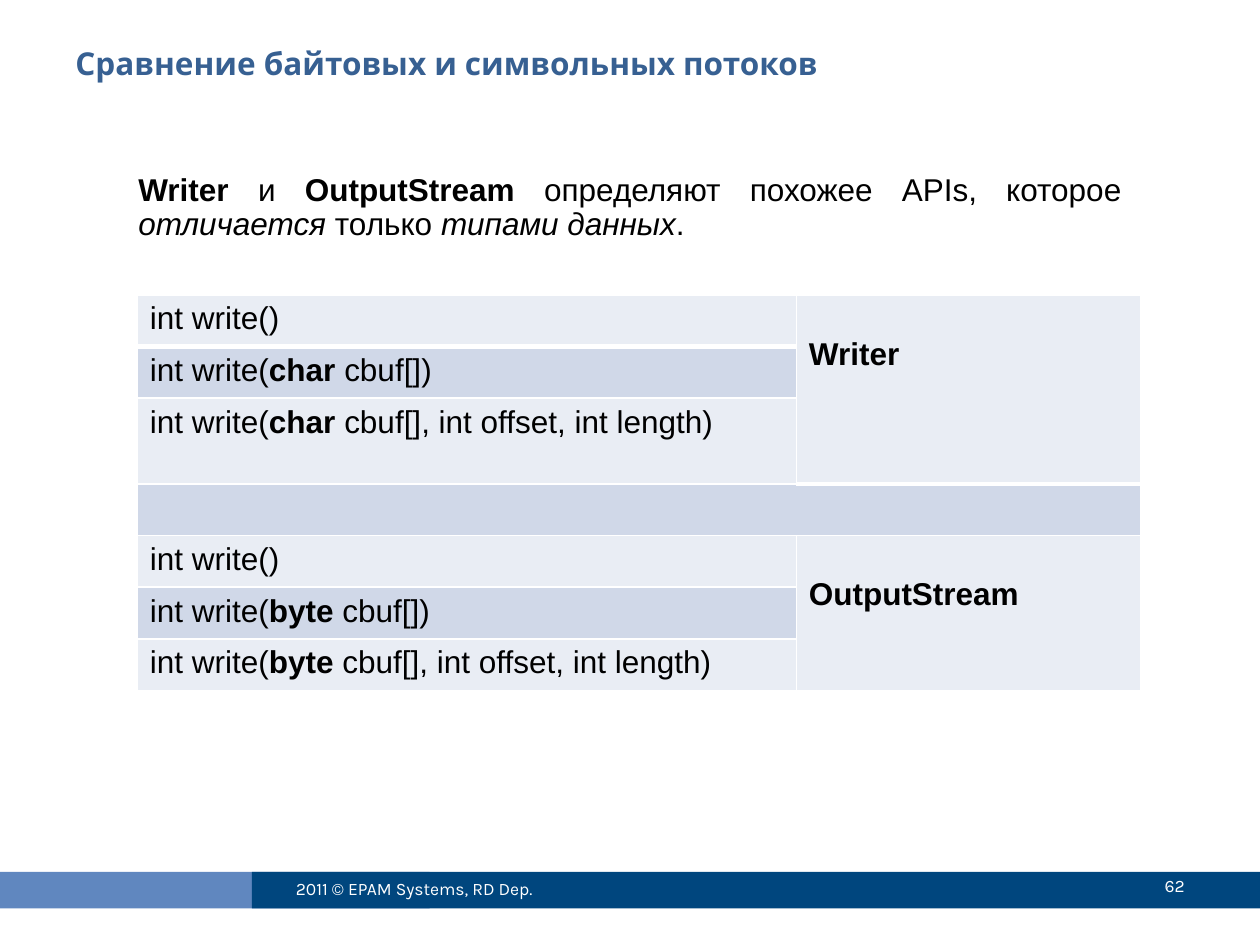
from lxml.etree import SubElement
from pptx import Presentation
from pptx.dml.color import RGBColor
from pptx.enum.shapes import MSO_SHAPE
from pptx.enum.text import MSO_ANCHOR, PP_ALIGN
from pptx.oxml.ns import qn
from pptx.util import Inches, Pt

COLORS = {
    "title": "376092",
    "text": "000000",
    "white": "FFFFFF",
    "footer_light": "6087BF",
    "footer_dark": "00467E",
    "row_light": "E9EDF4",
    "row_dark": "D0D8E8",
}


def write(frame, runs, size=18, font="Arial", color="text",
          align=PP_ALIGN.LEFT, anchor=MSO_ANCHOR.TOP, spacing=None):
    frame.word_wrap = True
    frame.vertical_anchor = anchor
    paragraph = frame.paragraphs[0]
    paragraph.alignment = align
    paragraph.line_spacing = spacing
    for text, style in runs:
        run = paragraph.add_run()
        run.text = text
        run.font.size = Pt(size)
        run.font.name = font
        run.font.bold = style == "bold"
        run.font.italic = style == "italic"
        run.font.color.rgb = RGBColor.from_string(COLORS[color])


def add_borders(cell, bottom_width):
    properties = cell._tc.get_or_add_tcPr()
    for side, width in (("L", 1), ("R", 1), ("B", bottom_width)):
        line = SubElement(properties, qn(f"a:ln{side}"), w=str(Pt(width)))
        fill = SubElement(line, qn("a:solidFill"))
        SubElement(fill, qn("a:srgbClr"), val=COLORS["white"])


presentation = Presentation()
presentation.slide_width = Inches(10)
presentation.slide_height = Inches(7.5)
slide = presentation.slides.add_slide(presentation.slide_layouts[6])
shapes = slide.shapes

for left, width, color in ((-0.02, 3.43, "footer_light"), (2, 8, "footer_dark")):
    band = shapes.add_shape(MSO_SHAPE.RECTANGLE, Inches(left), Inches(6.92),
                            Inches(width), Inches(0.29))
    band.shadow.inherit = False
    band.fill.solid()
    band.fill.fore_color.rgb = RGBColor.from_string(COLORS[color])
    band.line.fill.background()

title = shapes.add_textbox(Inches(0.5), Inches(0.3), Inches(9), Inches(0.78))
write(title.text_frame, [("Сравнение байтовых и символьных потоков", "bold")],
      font="Karla", color="title")

intro = shapes.add_textbox(Inches(1), Inches(1.33), Inches(8), Inches(5.25))
write(intro.text_frame, [
    ("Writer ", "bold"), ("и ", ""), ("OutputStream ", "bold"),
    ("определяют похожее APIs, которое ", ""), ("отличается ", "italic"),
    ("только ", ""), ("типами данных", "italic"), (".", ""),
], align=PP_ALIGN.JUSTIFY, spacing=0.9)

copyright_line = shapes.add_textbox(Inches(2.25), Inches(6.85), Inches(2.67), Inches(0.4))
write(copyright_line.text_frame, [("2011 © EPAM Systems, RD Dep.", "")], size=10,
      font="Karla", color="white", anchor=MSO_ANCHOR.MIDDLE)

page_number = shapes.add_textbox(Inches(8.42), Inches(6.83), Inches(1.08), Inches(0.4))
write(page_number.text_frame, [("62", "")], size=10, font="Karla", color="white",
      align=PP_ALIGN.RIGHT, anchor=MSO_ANCHOR.MIDDLE)

row_heights = [0.41, 0.41, 0.66, 0.41, 0.41, 0.41, 0.41]
methods = shapes.add_table(len(row_heights), 2, Inches(1.09), Inches(2.34),
                           Inches(7.96), Inches(sum(row_heights))).table
for column, width in zip(methods.columns, (5.23, 2.73)):
    column.width = Inches(width)
for row, height in zip(methods.rows, row_heights):
    row.height = Inches(height)

methods.cell(3, 0).merge(methods.cell(3, 1))
for first_row, class_name, unit in ((0, "Writer", "char "), (4, "OutputStream", "byte ")):
    owner = methods.cell(first_row, 1)
    owner.merge(methods.cell(first_row + 2, 1))
    owner.margin_top = Inches(0.33)
    write(owner.text_frame, [(class_name, "bold")])
    signatures = (
        [("int write()", "")],
        [("int write(", ""), (unit, "bold"), ("cbuf[])", "")],
        [("int write(", ""), (unit, "bold"), ("cbuf[], int offset, int length)", "")],
    )
    for offset, signature in enumerate(signatures):
        write(methods.cell(first_row + offset, 0).text_frame, signature)

for index, row in enumerate(methods.rows):
    for cell in row.cells:
        if not cell.is_spanned:
            add_borders(cell, 3 if index == 0 else 1)
        cell.fill.solid()
        shade = "row_dark" if index % 2 else "row_light"
        cell.fill.fore_color.rgb = RGBColor.from_string(COLORS[shade])

presentation.save("out.pptx")
